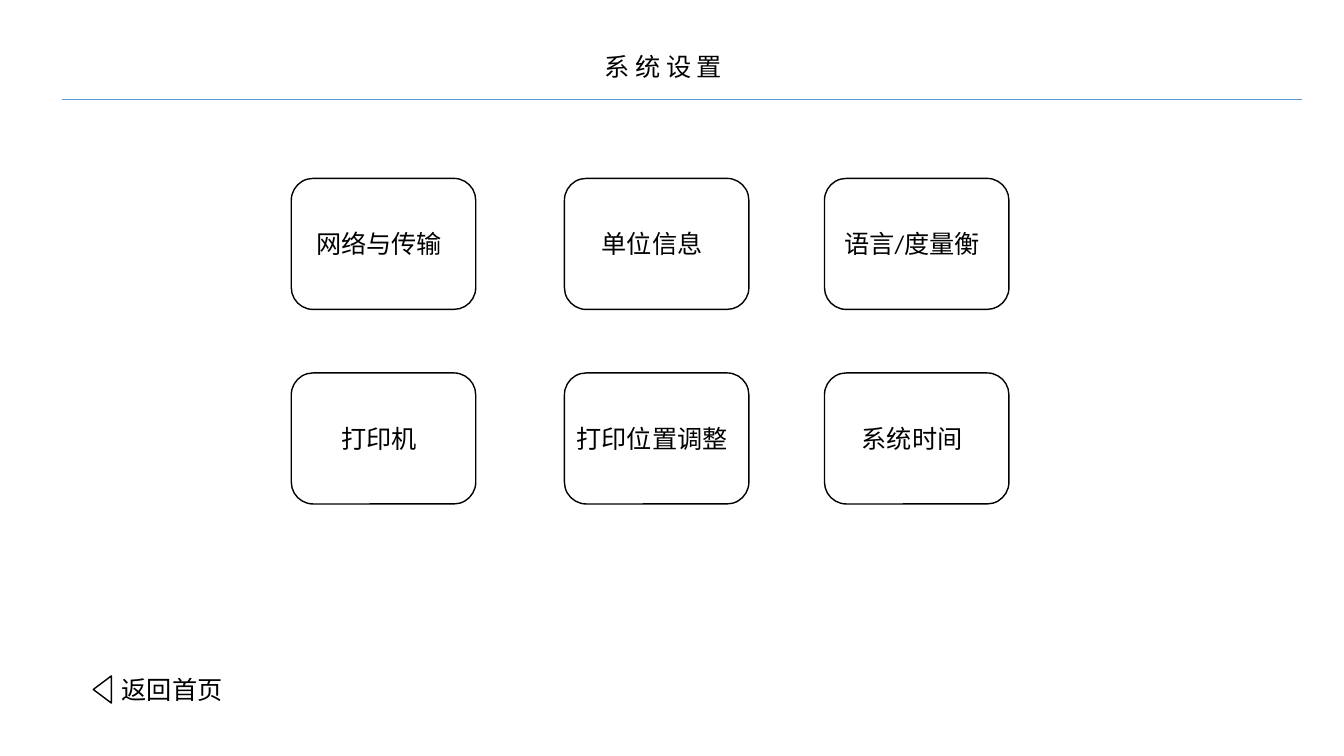
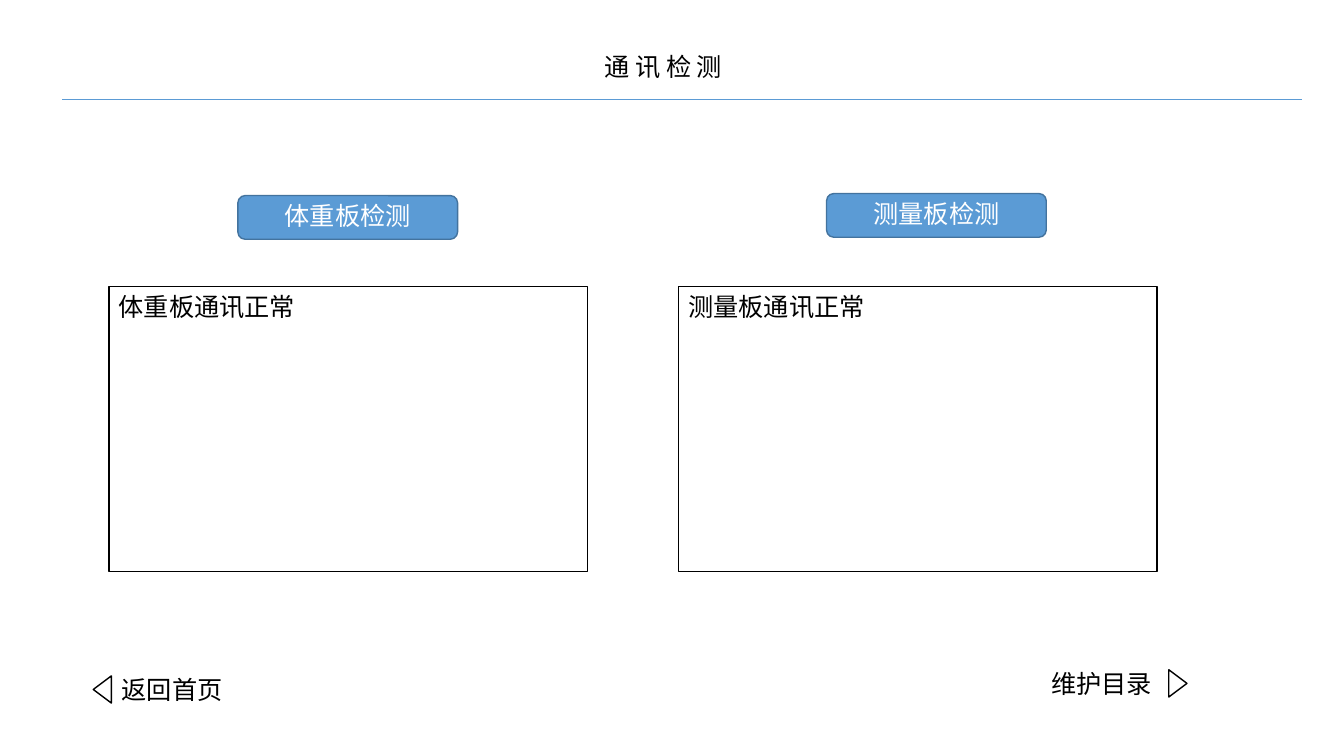
from lxml import etree
from pptx import Presentation
from pptx.dml.color import RGBColor
from pptx.enum.shapes import MSO_CONNECTOR, MSO_SHAPE
from pptx.enum.text import MSO_ANCHOR, MSO_AUTO_SIZE, PP_ALIGN
from pptx.oxml.ns import qn
from pptx.util import Pt

RECTANGLE = MSO_SHAPE.RECTANGLE
ROUNDED = MSO_SHAPE.ROUNDED_RECTANGLE
TRIANGLE = MSO_SHAPE.ISOSCELES_TRIANGLE
STRAIGHT = MSO_CONNECTOR.STRAIGHT
LEFT, CENTER = PP_ALIGN.LEFT, PP_ALIGN.CENTER
TOP = MSO_ANCHOR.TOP
GROW = MSO_AUTO_SIZE.SHAPE_TO_FIT_TEXT

BLACK, WHITE = "000000", "FFFFFF"
BLUE, DARK_BLUE = "5B9BD5", "43739E"
BODY_FONT, CHINESE_FONT = "Calibri", "Noto Sans CJK SC"
TEXT_SIZE = 18
TEXT_HEIGHT = 29.08

TILE_COLUMNS = (208.08, 403.2, 588.96)
TILE_ROWS = (127.44, 266.4)
TILE_WIDTH, TILE_HEIGHT = 131.76, 93.6
TILE_LABELS = (
    ("网络与传输", "单位信息", "语言/度量衡"),
    ("打印机", "打印位置调整", "系统时间"),
)


def color(hex_string):
    """Turn a hex string into a colour."""
    return RGBColor.from_string(hex_string)


def write_text(shape, text, align=LEFT, font_color=BLACK, font_name=BODY_FONT):
    """Write one line of text into a shape."""
    shape.text_frame.word_wrap = True
    paragraph = shape.text_frame.paragraphs[0]
    paragraph.alignment = align
    run = paragraph.add_run()
    run.text = text
    run.font.size = Pt(TEXT_SIZE)
    run.font.color.rgb = color(font_color)
    run.font.name = font_name
    east_asian = etree.SubElement(run.font._element, qn("a:ea"))
    east_asian.set("typeface", CHINESE_FONT)


def add_text(slide, left, top, width, text, **style):
    """Add a text box that is one line high."""
    box = slide.shapes.add_textbox(Pt(left), Pt(top), Pt(width), Pt(TEXT_HEIGHT))
    write_text(box, text, **style)
    box.text_frame.auto_size = GROW


def add_outlined(slide, kind, left, top, width, height, fill=WHITE, line=BLACK):
    """Add a filled shape with a one point outline."""
    shape = slide.shapes.add_shape(kind, Pt(left), Pt(top), Pt(width), Pt(height))
    shape.shadow.inherit = False
    shape.fill.solid()
    shape.fill.fore_color.rgb = color(fill)
    shape.line.color.rgb = color(line)
    shape.line.width = Pt(1)
    return shape


def add_header(slide, title):
    """Add the title and the rule below it."""
    add_text(slide, 200.16, 33.12, 547.2, title, align=CENTER, font_name=CHINESE_FONT)
    rule = slide.shapes.add_connector(STRAIGHT, Pt(44.64), Pt(71.28), Pt(930.24), Pt(71.28))
    rule.line.color.rgb = color(BLUE)
    rule.line.width = Pt(0.5)
    etree.SubElement(rule._element.spPr, qn("a:effectLst"))


def add_navigation(slide, text, text_left, arrow_left, top, rotation):
    """Add a navigation label with its triangle."""
    add_text(slide, text_left, top, 91.44, text)
    arrow = add_outlined(slide, TRIANGLE, arrow_left, top + 7.92, 19.44, 12.96)
    arrow.rotation = rotation


def add_tile(slide, left, top, text):
    """Add a menu tile with its label at mid-height."""
    add_outlined(slide, ROUNDED, left, top, TILE_WIDTH, TILE_HEIGHT)
    label_top = top + (TILE_HEIGHT - TEXT_HEIGHT) / 2
    add_text(slide, left, label_top, 125.28, text, align=CENTER)


def add_button(slide, left, top, text):
    """Add a blue button with a white label."""
    add_outlined(slide, ROUNDED, left, top, 156.96, 31.2, BLUE, DARK_BLUE)
    add_text(slide, left + 10.8, top, 135.36, text, align=CENTER, font_color=WHITE)


def add_result_panel(slide, left, text):
    """Add a panel that shows the result of a check."""
    panel = add_outlined(slide, RECTANGLE, left, 204.48, 342, 203.76)
    panel.text_frame.vertical_anchor = TOP
    write_text(panel, text)


def start_slide(presentation, title):
    """Add a slide with the shared header and the link home."""
    slide = presentation.slides.add_slide(presentation.slide_layouts[6])
    add_header(slide, title)
    add_navigation(slide, "返回首页", 79.92, 63.36, 478.08, 270)
    return slide


def build_settings(presentation):
    """Build the system settings menu."""
    slide = start_slide(presentation, "系 统 设 置")
    for top, labels in zip(TILE_ROWS, TILE_LABELS):
        for left, label in zip(TILE_COLUMNS, labels):
            add_tile(slide, left, top, label)


def build_communication_check(presentation):
    """Build the communication check of both boards."""
    slide = start_slide(presentation, "通 讯 检 测")
    add_navigation(slide, "维护目录", 743.76, 831.6, 473.76, 90)
    checks = (
        ("体重板", 77.76, 169.92, 139.68),
        ("测量板", 484.56, 590.4, 138.24),
    )
    for board, panel_left, button_left, button_top in checks:
        add_result_panel(slide, panel_left, board + "通讯正常")
        add_button(slide, button_left, button_top, board + "检测")


def main():
    """Build and save the presentation."""
    presentation = Presentation()
    presentation.slide_width = Pt(960)
    presentation.slide_height = Pt(540)
    build_settings(presentation)
    build_communication_check(presentation)
    presentation.save("out.pptx")


main()
